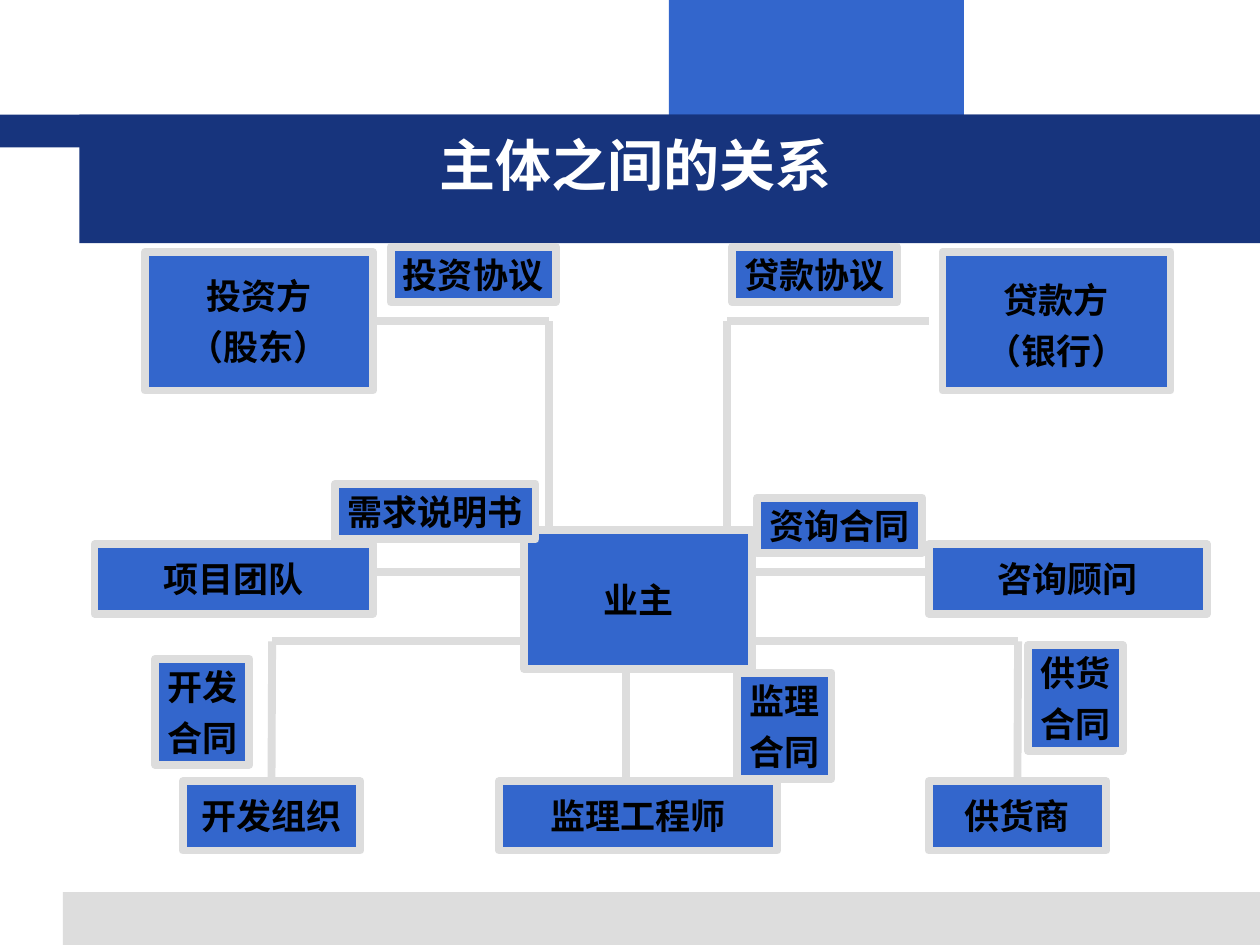
"""Build a slide that maps the contracts between the parties of a project."""
from typing import NamedTuple

from lxml.etree import SubElement
from pptx import Presentation
from pptx.dml.color import RGBColor
from pptx.enum.shapes import MSO_CONNECTOR, MSO_SHAPE
from pptx.enum.text import MSO_ANCHOR, MSO_AUTO_SIZE, PP_ALIGN
from pptx.oxml.ns import qn
from pptx.shapes.autoshape import Shape
from pptx.slide import Slide
from pptx.util import Inches, Pt

BLUE = RGBColor(0x33, 0x66, 0xCC)
NAVY = RGBColor(0x17, 0x34, 0x7D)
GRAY = RGBColor(0xDD, 0xDD, 0xDD)
BLACK = RGBColor(0, 0, 0)
WHITE = RGBColor(0xFF, 0xFF, 0xFF)
FONT = "Roboto Condensed"
EDGE = Pt(4.5)
TOP, RIGHT = 0, 3


class Box(NamedTuple):
    text: str
    left: float
    top: float
    width: float
    height: float
    drop: float = 0


class Band(NamedTuple):
    left: float
    top: float
    width: float
    height: float
    color: RGBColor


class Link(NamedTuple):
    x1: float
    y1: float
    x2: float
    y2: float
    start: tuple[str, int] | None = None
    end: tuple[str, int] | None = None


BANDS = [
    Band(5.31, 0, 2.34, 0.92, BLUE),
    Band(0.5, 7.08, 9.5, 0.42, GRAY),
    Band(0, 0.91, 10, 0.26, NAVY),
    Band(0.63, 0.91, 9.37, 1.02, NAVY),
]
BIG, WIDE, SMALL = (1.81, 1.1), (2.21, 0.55), (1.41, 0.55)
TALL, FLAT = (0.75, 0.84), (1.31, 0.44)
PARTIES = [
    Box("业主", 4.16, 4.21, *BIG),
    Box("投资方\n（股东）", 1.15, 2, *BIG),
    Box("贷款方\n（银行）", 7.48, 2, *BIG, drop=0.06),
    Box("咨询顾问", 7.37, 4.32, *WIDE),
    Box("项目团队", 0.75, 4.32, *WIDE),
    Box("监理工程师", 3.96, 6.2, *WIDE),
    Box("供货商", 7.37, 6.2, *SMALL),
    Box("开发组织", 1.45, 6.2, *SMALL),
]
LINKS = [
    Link(2.96, 2.55, 4.36, 2.55, start=("投资方\n（股东）", RIGHT)),
    Link(4.36, 2.55, 4.36, 4.21),
    Link(7.37, 2.55, 5.77, 2.55),
    Link(5.77, 2.55, 5.77, 4.21),
    Link(2.96, 4.54, 4.16, 4.54),
    Link(5.97, 4.54, 7.37, 4.54),
    Link(5.97, 5.09, 8.08, 5.09),
    Link(8.08, 5.09, 8.08, 6.2, end=("供货商", TOP)),
    Link(4.16, 5.09, 2.16, 5.09),
    Link(2.16, 5.09, 2.16, 6.2, end=("开发组织", TOP)),
    Link(4.97, 5.31, 4.97, 6.2),
]
DEALS = [
    Box("开发\n合同", 1.23, 5.23, *TALL),
    Box("监理\n合同", 5.85, 5.34, *TALL),
    Box("供货\n合同", 8.16, 5.12, *TALL),
    Box("资询合同", 6.01, 3.95, *FLAT),
    Box("需求说明书", 2.66, 3.84, 1.59, 0.44),
    Box("投资协议", 3.1, 1.96, *FLAT),
    Box("贷款协议", 5.81, 1.96, *FLAT),
]


def set_text(shape: Shape, text: str, size: int, color: RGBColor, gap: int) -> None:
    frame = shape.text_frame
    frame.text = text
    frame.word_wrap = False
    frame.auto_size = MSO_AUTO_SIZE.NONE
    frame.vertical_anchor = MSO_ANCHOR.MIDDLE
    for para in frame.paragraphs:
        para.alignment = PP_ALIGN.CENTER
        para.space_before = Pt(gap)
        para.font.name = FONT
        para.font.size = Pt(size)
        para.font.bold = True
        para.font.color.rgb = color


def add_rect(slide: Slide, left: float, top: float, width: float, height: float,
             color: RGBColor) -> Shape:
    shape = slide.shapes.add_shape(
        MSO_SHAPE.RECTANGLE, Inches(left), Inches(top), Inches(width), Inches(height))
    shape.shadow.inherit = False
    shape.fill.solid()
    shape.fill.fore_color.rgb = color
    shape.line.fill.background()
    return shape


def add_box(slide: Slide, box: Box) -> Shape:
    shape = add_rect(slide, box.left, box.top, box.width, box.height, BLUE)
    shape.line.color.rgb = GRAY
    shape.line.width = EDGE
    set_text(shape, box.text, 20, BLACK, 5)
    shape.text_frame.margin_top = Inches(0.05 + box.drop)
    return shape


def add_link(slide: Slide, link: Link, nodes: dict[str, Shape]) -> None:
    line = slide.shapes.add_connector(
        MSO_CONNECTOR.STRAIGHT, Inches(link.x1), Inches(link.y1),
        Inches(link.x2), Inches(link.y2))
    line.line.color.rgb = GRAY
    line.line.width = EDGE
    SubElement(line._element.spPr, qn("a:effectLst"))
    if link.start:
        name, side = link.start
        line.begin_connect(nodes[name], side)
    if link.end:
        name, side = link.end
        line.end_connect(nodes[name], side)


def add_title(slide: Slide, text: str) -> None:
    title = slide.shapes.title
    title.left, title.top = Inches(3.22), Inches(0.95)
    title.width, title.height = Inches(3.65), Inches(0.7)
    set_text(title, text, 32, WHITE, 8)
    slide.shapes._spTree.append(title._element)


def main() -> None:
    deck = Presentation()
    deck.slide_width, deck.slide_height = Inches(10), Inches(7.5)
    slide = deck.slides.add_slide(deck.slide_layouts[5])
    for band in BANDS:
        add_rect(slide, *band)
    nodes = {box.text: add_box(slide, box) for box in PARTIES}
    for link in LINKS:
        add_link(slide, link, nodes)
    for deal in DEALS:
        add_box(slide, deal)
    add_title(slide, "主体之间的关系")
    deck.save("out.pptx")


if __name__ == "__main__":
    main()
